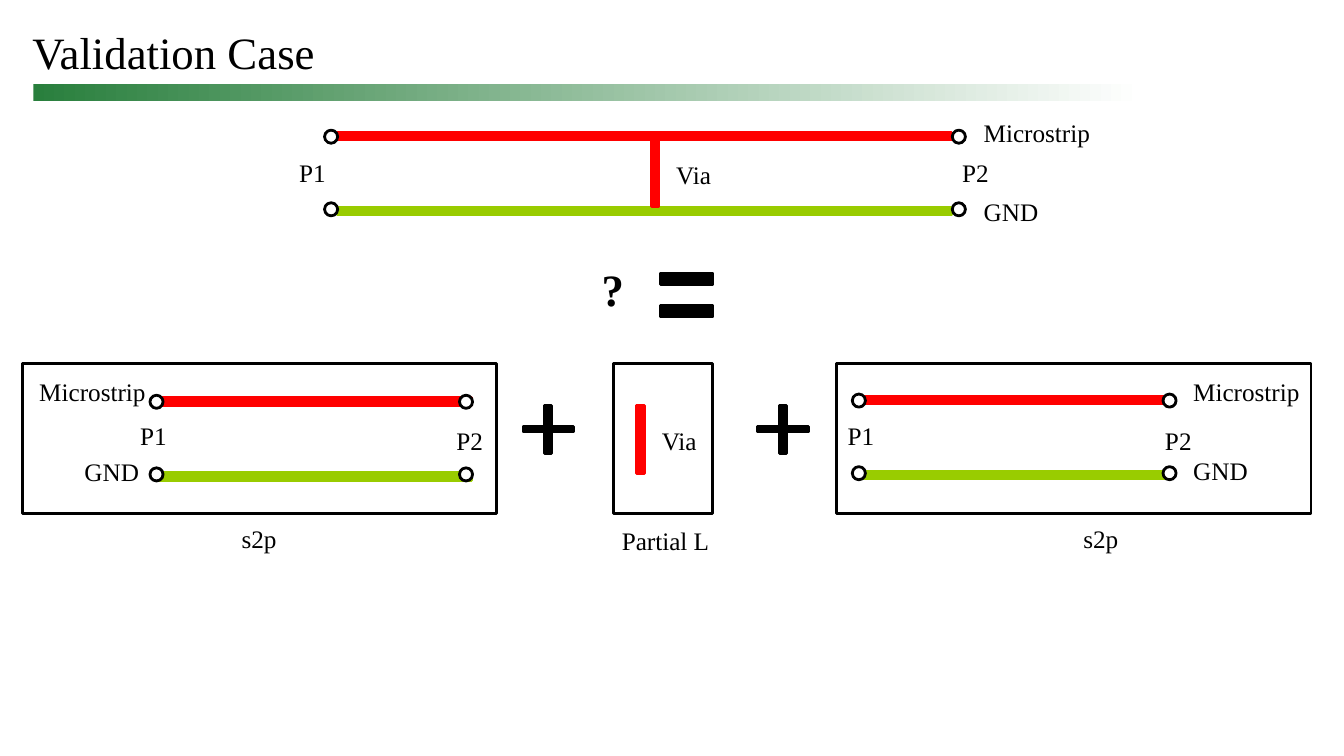
import pptx
import pptx.util
import pptx.dml.color
import pptx.enum.shapes
import pptx.enum.text
from dataclasses import dataclass

Cm = pptx.util.Cm
Shape = pptx.enum.shapes.MSO_SHAPE


@dataclass(frozen=True)
class Theme:
    font: str = "Times New Roman"
    ink: str = "000000"
    paper: str = "FFFFFF"
    signal: str = "FF0000"
    ground: str = "99CC00"
    accent: str = "297F3D"
    title_size: int = 32
    label_size: int = 18
    line_width: int = 2


THEME = Theme()

TITLE = "Validation Case"
TITLE_BOX = (0.56, 0, 30.48, 2.11)
TITLE_BAR = (0.84, 2.11, 27.94, 0.43)

STRIP_THICKNESS = 0.2
STRIP_PITCH = 1.89
PAD_SIZE = 0.33
PAD_PITCH = 1.83
PAD_RISE = 0.05
VIA_HEIGHT = 1.73
FRAME_TOP, FRAME_HEIGHT = 9.17, 3.78
LABEL_HEIGHT = 1.02
LABEL_WIDTHS = {"Microstrip": 3.23, "GND": 1.9, "P1": 1.19, "P2": 1.19,
                "Via": 1.55, "s2p": 1.4, "Partial L": 2.74}

CIRCUITS = [
    {"strips": (8.51, 3.33, 15.47), "pads": (8.18, 24.0), "via": (16.41, 3.48),
     "labels": [("Microstrip", 24.54, 2.82), ("GND", 24.54, 4.83),
                ("P1", 7.29, 3.84), ("P2", 24.0, 3.84), ("Via", 16.79, 3.89)]},
    {"strips": (3.94, 10.01, 7.95), "pads": (3.78, 11.58), "frame": (0.56, 11.96),
     "labels": [("Microstrip", 0.74, 9.37), ("GND", 1.88, 11.38),
                ("P1", 3.28, 10.46), ("P2", 11.25, 10.59)]},
    {"via": (16.05, 10.21), "frame": (15.47, 2.49),
     "labels": [("Via", 16.43, 10.59)]},
    {"strips": (21.59, 9.98, 7.95), "pads": (21.48, 29.31), "frame": (21.08, 11.96),
     "labels": [("Microstrip", 29.82, 9.35), ("GND", 29.82, 11.35),
                ("P1", 21.11, 10.46), ("P2", 29.11, 10.59)]},
]
CAPTIONS = [("s2p", 5.84, 13.06), ("s2p", 27.05, 13.06), ("Partial L", 15.42, 13.11)]
OPERATORS = [
    (Shape.CROSS, (13.18, 10.21, 1.27, 1.22), [0.445]),
    (Shape.CROSS, (19.1, 10.21, 1.27, 1.22), [0.445]),
    (Shape.MATH_EQUAL, (16.41, 6.76, 1.8, 1.35), [0.217, 0.386]),
]
QUESTION = ("?", (14.91, 6.48, 1.27, 1.63))


def rgb(value):
    return pptx.dml.color.RGBColor.from_string(value)


def add_block(shapes, kind, box, fill, line):
    shape = shapes.add_shape(kind, *map(Cm, box))
    shape.shadow.inherit = False
    if fill:
        shape.fill.solid()
        shape.fill.fore_color.rgb = rgb(fill)
    else:
        shape.fill.background()
    shape.line.color.rgb = rgb(line)
    shape.line.width = pptx.util.Pt(THEME.line_width)
    return shape


def write(text_frame, text, size, bold=False):
    text_frame.text = text
    font = text_frame.paragraphs[0].runs[0].font
    font.name, font.size, font.bold = THEME.font, pptx.util.Pt(size), bold
    font.color.rgb = rgb(THEME.ink)


def add_label(shapes, text, left, top):
    box = (left, top, LABEL_WIDTHS[text], LABEL_HEIGHT)
    text_frame = shapes.add_textbox(*map(Cm, box)).text_frame
    text_frame.word_wrap = False
    text_frame.auto_size = pptx.enum.text.MSO_AUTO_SIZE.SHAPE_TO_FIT_TEXT
    write(text_frame, text, THEME.label_size)


def add_circuit(slide, circuit):
    shapes = slide.shapes.add_group_shape().shapes
    if "frame" in circuit:
        left, width = circuit["frame"]
        add_block(shapes, Shape.RECTANGLE, (left, FRAME_TOP, width, FRAME_HEIGHT),
                  None, THEME.ink)
    if "strips" in circuit:
        left, top, length = circuit["strips"]
        for row, color in enumerate((THEME.signal, THEME.ground)):
            strip = (left, top + row * STRIP_PITCH, length, STRIP_THICKNESS)
            add_block(shapes, Shape.RECTANGLE, strip, color, color)
            for pad_left in circuit["pads"]:
                pad = (pad_left, top - PAD_RISE + row * PAD_PITCH, PAD_SIZE, PAD_SIZE)
                add_block(shapes, Shape.OVAL, pad, THEME.paper, THEME.ink)
    if "via" in circuit:
        add_block(shapes, Shape.RECTANGLE, (*circuit["via"], STRIP_THICKNESS, VIA_HEIGHT),
                  THEME.signal, THEME.signal)
    for label in circuit["labels"]:
        add_label(shapes, *label)


def add_header(slide):
    title = slide.shapes.title
    title.left, title.top, title.width, title.height = map(Cm, TITLE_BOX)
    write(title.text_frame, TITLE, THEME.title_size)
    title.text_frame.auto_size = pptx.enum.text.MSO_AUTO_SIZE.NONE
    title.text_frame.vertical_anchor = pptx.enum.text.MSO_ANCHOR.BOTTOM
    title.text_frame.paragraphs[0].alignment = pptx.enum.text.PP_ALIGN.LEFT
    bar = slide.shapes.add_shape(Shape.RECTANGLE, *map(Cm, TITLE_BAR))
    bar.shadow.inherit = False
    bar.line.fill.background()
    bar.fill.gradient()
    bar.fill.gradient_angle = 0
    for stop, color in zip(bar.fill.gradient_stops, (THEME.accent, THEME.paper)):
        stop.color.rgb = rgb(color)


def main():
    presentation = pptx.Presentation()
    presentation.slide_width, presentation.slide_height = Cm(33.87), Cm(19.05)
    slide = presentation.slides.add_slide(presentation.slide_layouts[5])
    add_header(slide)
    for kind, box, adjustments in OPERATORS:
        operator = add_block(slide.shapes, kind, box, THEME.ink, THEME.ink)
        for index, value in enumerate(adjustments):
            operator.adjustments[index] = value
    for circuit in CIRCUITS:
        add_circuit(slide, circuit)
    for caption in CAPTIONS:
        add_label(slide.shapes, *caption)
    text, box = QUESTION
    question = slide.shapes.add_textbox(*map(Cm, box))
    question.text_frame.word_wrap = True
    write(question.text_frame, text, THEME.title_size, bold=True)
    presentation.save("out.pptx")


if __name__ == "__main__":
    main()
